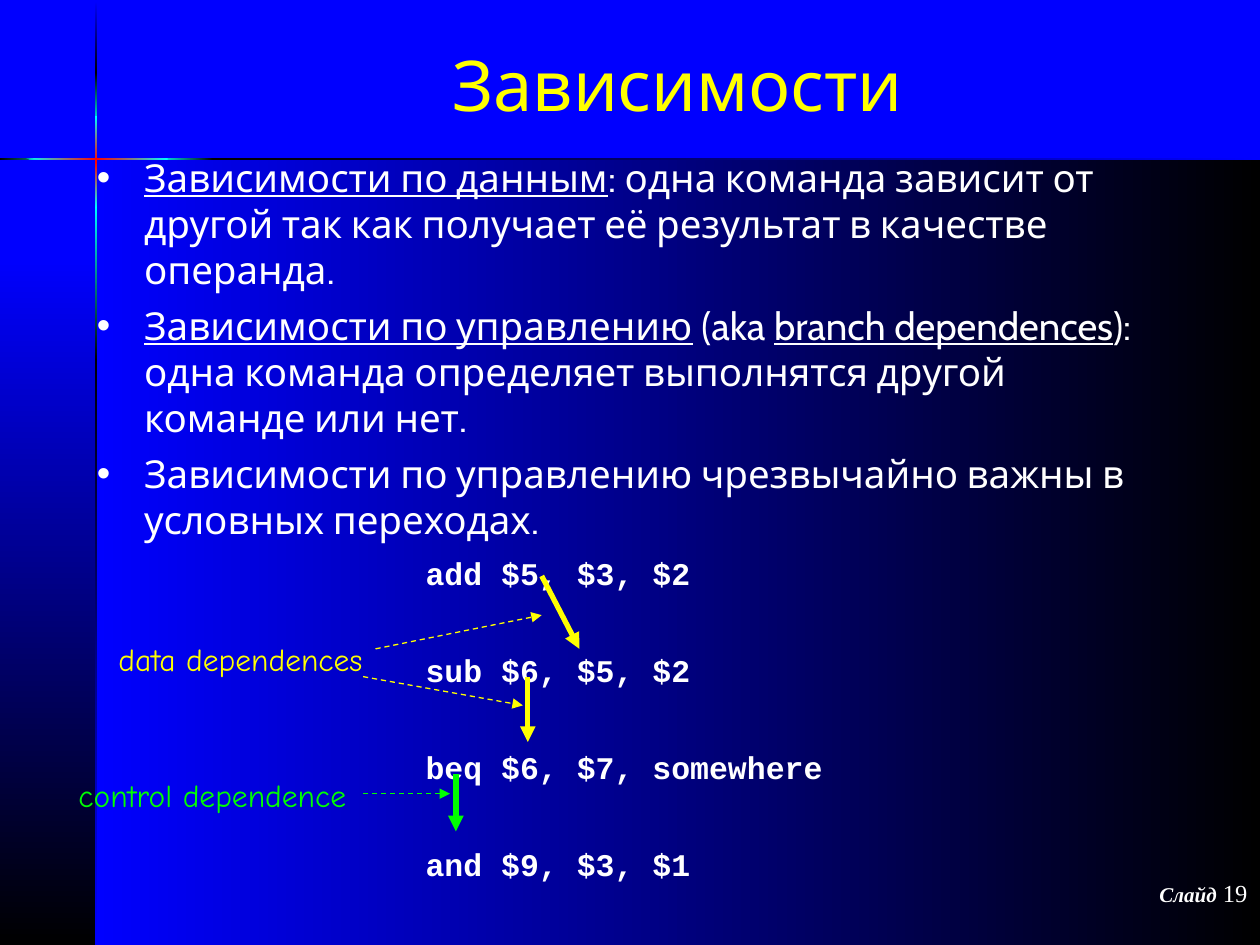
from dataclasses import dataclass

from lxml.etree import SubElement
from pptx import Presentation
from pptx.dml.color import RGBColor
from pptx.enum.dml import MSO_LINE_DASH_STYLE as Dash
from pptx.enum.shapes import MSO_CONNECTOR as Connector
from pptx.enum.text import MSO_ANCHOR as Anchor, MSO_AUTO_SIZE as AutoSize, PP_ALIGN as Align
from pptx.oxml.ns import qn
from pptx.util import Cm, Pt


@dataclass(frozen=True)
class Theme:
    blue: str = "0000FF"
    black: str = "000000"
    cyan: str = "00FFFF"
    red: str = "FF0000"
    white: str = "FFFFFF"
    yellow: str = "FFFF00"
    green: str = "00FF00"
    text_font: str = "Cabin"
    code_font: str = "Courier New"
    note_font: str = "Comic Neue"
    number_font: str = "Times New Roman"
    title_size: float = 40
    body_size: float = 22
    label_size: float = 18
    number_size: float = 14
    footer_size: float = 12
    thick: float = 3
    thin: float = 0.75


THEME = Theme()
WIDTH, HEIGHT = 25.4, 19.05
CROSS_X, CROSS_Y, BAR = 1.91, 3.18, 0.05

BULLETS = [
    [("Зависимости по данным", True),
     (": одна команда зависит от другой так как получает её результат в качестве операнда.", False)],
    [("Зависимости по управлению", True), (" (aka ", False), ("branch dependences", True),
     ("): одна команда определяет выполнятся другой команде или нет.", False)],
    [("Зависимости по управлению чрезвычайно важны в условных переходах.", False)],
]
CODE = ["add $5, $3, $2", "sub $6, $5, $2", "beq $6, $7, somewhere", "and $9, $3, $1"]


def add_span(para, text, font, size, color, bold=None, italic=None, underline=None):
    span = para.add_run()
    span.text = text
    span.font.name, span.font.size = font, Pt(size)
    span.font.color.rgb = RGBColor.from_string(color)
    span.font.bold, span.font.italic, span.font.underline = bold, italic, underline


def place(shape, left, top, width, height):
    shape.left, shape.top, shape.width, shape.height = map(Cm, (left, top, width, height))


def add_gradient(page, points, colors, vertical):
    """Draw a closed outline whose colours run evenly rightwards or downwards."""
    start, *rest = [(Cm(x), Cm(y)) for x, y in points]
    builder = page.shapes.build_freeform(*start)
    builder.add_line_segments(rest, close=True)
    shape = builder.convert_to_shape()
    shape.shadow.inherit = False
    shape.line.fill.background()
    shape.fill.gradient()
    shape.fill.gradient_angle = 270 if vertical else 0
    stops = next(shape._element.iter(qn("a:gsLst")))
    for stop in list(stops):
        stops.remove(stop)
    for index, color in enumerate(colors):
        stop = SubElement(stops, qn("a:gs"), pos=str(100000 * index // (len(colors) - 1)))
        SubElement(stop, qn("a:srgbClr"), val=color)


def box_points(left, top, right, bottom):
    return [(left, top), (right, top), (right, bottom), (left, bottom)]


def add_backdrop(page):
    t = THEME
    page.background.fill.solid()
    page.background.fill.fore_color.rgb = RGBColor.from_string(t.blue)
    add_gradient(page, box_points(CROSS_X, CROSS_Y, WIDTH, HEIGHT), (t.blue, t.black), False)
    add_gradient(page, box_points(0, 5.13, CROSS_X, HEIGHT), (t.blue, t.black), True)

    glow = (t.cyan, t.red, t.cyan)
    upright = [
        (0.03, 1.47, (t.blue, t.black)), (7.16, HEIGHT, (t.black, t.blue)),
        (4.14, 7.26, (t.cyan, t.black)), (1.47, 2.59, (t.black, t.cyan)),
        (2.34, 4.19, glow),
    ]
    for top, bottom, colors in upright:
        add_gradient(page, box_points(CROSS_X, top, CROSS_X + BAR, bottom), colors, True)

    level = [
        (0, 1.55, (t.black, t.cyan)), (4.24, WIDTH, (t.black, t.blue)),
        (3.18, 4.29, (t.cyan, t.black)),
    ]
    for left, right, colors in level:
        add_gradient(page, box_points(left, CROSS_Y, right, CROSS_Y + BAR), colors, False)
    tip = (0.53, CROSS_Y + BAR / 2)
    add_gradient(page, [tip] + box_points(1.52, CROSS_Y, 3.38, CROSS_Y + BAR), glow, False)


def fill_title(title):
    place(title, 1.91, 0.2, 23.5, 2.97)
    title.text_frame.vertical_anchor = Anchor.MIDDLE
    title.text_frame.auto_size = AutoSize.NONE
    para = title.text_frame.paragraphs[0]
    para.alignment = Align.CENTER
    add_span(para, "Зависимости", THEME.text_font, THEME.title_size, THEME.yellow)


def add_paragraph(frame, index):
    return frame.add_paragraph() if index else frame.paragraphs[0]


def fill_bullets(body):
    place(body, 1.7, 2.97, 21.59, 11.43)
    frame = body.text_frame
    frame.auto_size = AutoSize.NONE
    for index, spans in enumerate(BULLETS):
        para = add_paragraph(frame, index)
        para.space_before = Pt(5.5)
        props = para._p.get_or_add_pPr()
        props.set("marL", str(Cm(0.95)))
        props.set("indent", str(-Cm(0.95)))
        SubElement(SubElement(props, qn("a:buClr")), qn("a:srgbClr"), val=THEME.white)
        SubElement(props, qn("a:buChar"), char="•")
        for text, underline in spans:
            add_span(para, text, THEME.text_font, THEME.body_size, THEME.white, underline=underline)


def add_text_frame(page, left, top, width, height, wrap=False):
    box = page.shapes.add_textbox(*map(Cm, (left, top, width, height)))
    box.text_frame.word_wrap = wrap
    box.text_frame.auto_size = AutoSize.NONE if wrap else AutoSize.SHAPE_TO_FIT_TEXT
    return box.text_frame


def add_code(page):
    frame = add_text_frame(page, 8.33, 10.85, 8.51, 6.91)
    for index, line in enumerate(CODE):
        para = add_paragraph(frame, index)
        para.line_spacing = 1.25
        if index:
            para.space_before = Pt(28.5)
        add_span(para, line, THEME.code_font, THEME.label_size, THEME.white, bold=True)


def add_label(page, text, color, left, top, width):
    para = add_text_frame(page, left, top, width, 1.02).paragraphs[0]
    para.alignment = Align.CENTER
    para.space_before = Pt(4.5)
    add_span(para, text, THEME.note_font, THEME.label_size, color)


def add_arrow(page, start, end, color, dashed=False):
    arrow = page.shapes.add_connector(Connector.STRAIGHT, *map(Cm, start + end))
    arrow.line.color.rgb = RGBColor.from_string(color)
    arrow.line.width = Pt(THEME.thin if dashed else THEME.thick)
    if dashed:
        arrow.line.dash_style = Dash.DASH
    SubElement(arrow.line._get_or_add_ln(), qn("a:tailEnd"), type="triangle")
    SubElement(arrow._element.spPr, qn("a:effectLst"))


def add_slide_number(page):
    para = add_text_frame(page, 20.12, 17.58, 5.28, 1.27, wrap=True).paragraphs[0]
    para.alignment = Align.RIGHT
    add_span(para, "Слайд", THEME.number_font, THEME.footer_size, THEME.white, bold=True, italic=True)
    add_span(para, " 19", THEME.number_font, THEME.number_size, THEME.white)


def main():
    deck = Presentation()
    deck.slide_width, deck.slide_height = Cm(WIDTH), Cm(HEIGHT)
    page = deck.slides.add_slide(deck.slide_layouts[1])
    title, body = page.placeholders
    add_backdrop(page)
    for holder in (title, body):  # bring the text in front of the backdrop
        page.shapes._spTree.append(holder._element)
    add_slide_number(page)
    fill_title(title)
    fill_bullets(body)
    add_code(page)

    add_arrow(page, (10.92, 11.61), (11.68, 13.08), THEME.yellow)
    add_arrow(page, (10.64, 13.64), (10.64, 14.96), THEME.yellow)
    add_label(page, "data dependences", THEME.yellow, 2.13, 12.78, 5.44)
    add_arrow(page, (7.57, 13.08), (10.92, 12.4), THEME.yellow, dashed=True)
    add_arrow(page, (7.32, 13.64), (10.54, 14.22), THEME.yellow, dashed=True)
    add_arrow(page, (9.19, 15.6), (9.19, 16.76), THEME.green)
    add_label(page, "control dependence", THEME.green, 1.32, 15.52, 5.92)
    add_arrow(page, (7.32, 16), (9.07, 16), THEME.green, dashed=True)
    deck.save("out.pptx")


if __name__ == "__main__":
    main()
